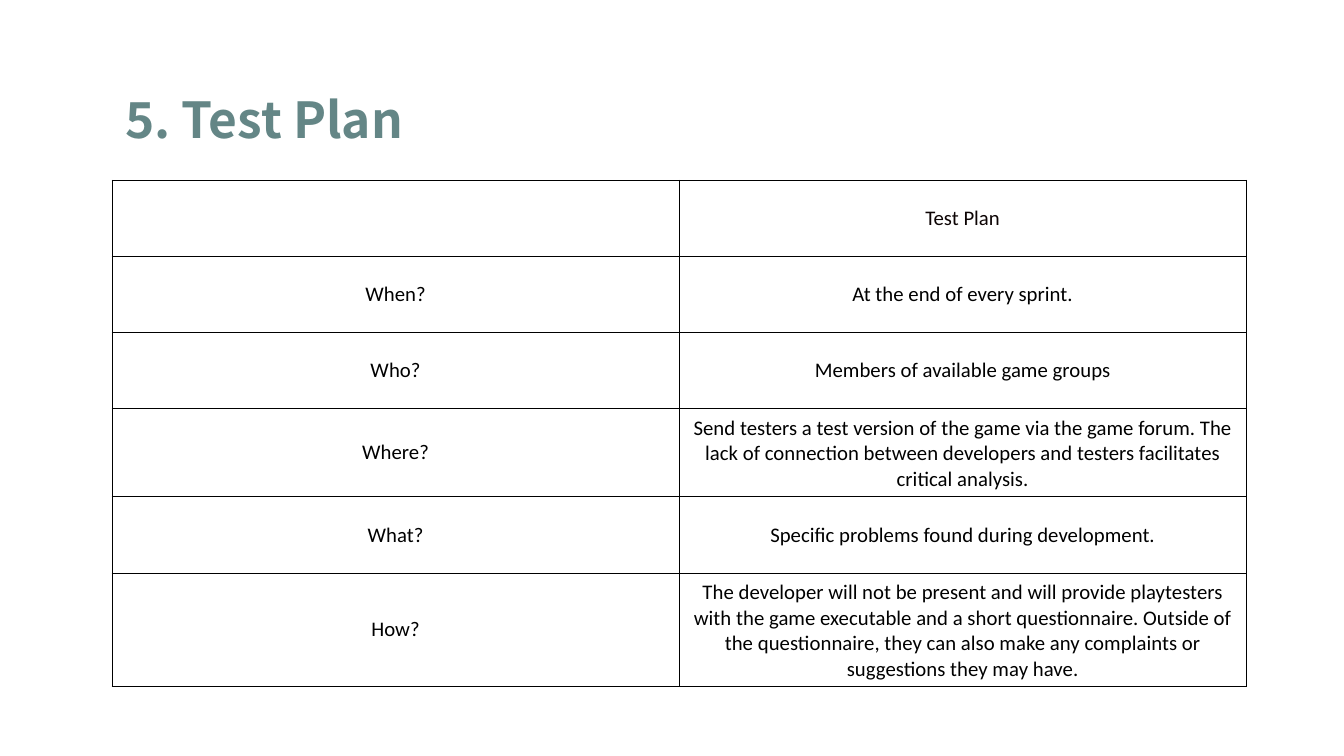
from lxml import etree
from pptx import Presentation
from pptx.dml.color import RGBColor
from pptx.enum.text import MSO_ANCHOR, PP_ALIGN
from pptx.oxml.ns import qn
from pptx.util import Pt

MIDDLE = MSO_ANCHOR.MIDDLE
CENTER = PP_ALIGN.CENTER

COLORS = {
    "title": "648686",
    "heading": "0D0404",
    "text": "000000",
    "border": "000000",
    "cell": "FFFFFF",
}

TEST_PLAN = [
    ("", "Test Plan"),
    ("When?", "At the end of every sprint."),
    ("Who?", "Members of available game groups"),
    ("Where?", "Send testers a test version of the game via the game forum. "
               "The lack of connection between developers and testers "
               "facilitates critical analysis."),
    ("What?", "Specific problems found during development."),
    ("How?", "The developer will not be present and will provide playtesters "
             "with the game executable and a short questionnaire. Outside of "
             "the questionnaire, they can also make any complaints or "
             "suggestions they may have."),
]

LEFT = Pt(60)
COLUMN_WIDTH = Pt(303.8)
ROW_HEIGHT = Pt(40.8)


def style_font(font, name, size, color, bold=False):
    font.name = name
    font.size = Pt(size)
    font.bold = bold
    font.color.rgb = RGBColor.from_string(COLORS[color])


def add_title(slide, text):
    title = slide.shapes.add_textbox(LEFT, Pt(41.8), Pt(615), Pt(43.2))
    frame = title.text_frame
    frame.word_wrap = True
    frame.vertical_anchor = MIDDLE
    paragraph = frame.paragraphs[0]
    paragraph.text = text
    style_font(paragraph.font, "Noto Sans CJK SC", 26.6, "title", bold=True)


def add_borders(cell):
    properties = cell._tc.get_or_add_tcPr()
    for position, side in enumerate(("a:lnL", "a:lnR", "a:lnT", "a:lnB")):
        line = etree.Element(qn(side), w=str(Pt(0.5)))
        fill = etree.SubElement(line, qn("a:solidFill"))
        etree.SubElement(fill, qn("a:srgbClr"), val=COLORS["border"])
        properties.insert(position, line)


def fill_cell(cell, text, color):
    cell.fill.solid()
    cell.fill.fore_color.rgb = RGBColor.from_string(COLORS["cell"])
    cell.vertical_anchor = MIDDLE
    add_borders(cell)
    paragraph = cell.text_frame.paragraphs[0]
    paragraph.text = text
    paragraph.alignment = CENTER
    style_font(paragraph.font, "Calibri", 11.1, color)


def add_plan_table(slide, plan):
    row_count, column_count = len(plan), len(plan[0])
    table = slide.shapes.add_table(
        row_count, column_count, LEFT, Pt(96.6),
        COLUMN_WIDTH * column_count, ROW_HEIGHT * row_count).table
    table.first_row = False
    table.horz_banding = False
    for row_index, entries in enumerate(plan):
        color = "text" if row_index else "heading"
        for column_index, text in enumerate(entries):
            fill_cell(table.cell(row_index, column_index), text, color)


def main():
    presentation = Presentation()
    presentation.slide_width = Pt(720)
    presentation.slide_height = Pt(405)
    slide = presentation.slides.add_slide(presentation.slide_layouts[6])
    add_title(slide, "5. Test Plan")
    add_plan_table(slide, TEST_PLAN)
    presentation.save("out.pptx")


if __name__ == "__main__":
    main()
